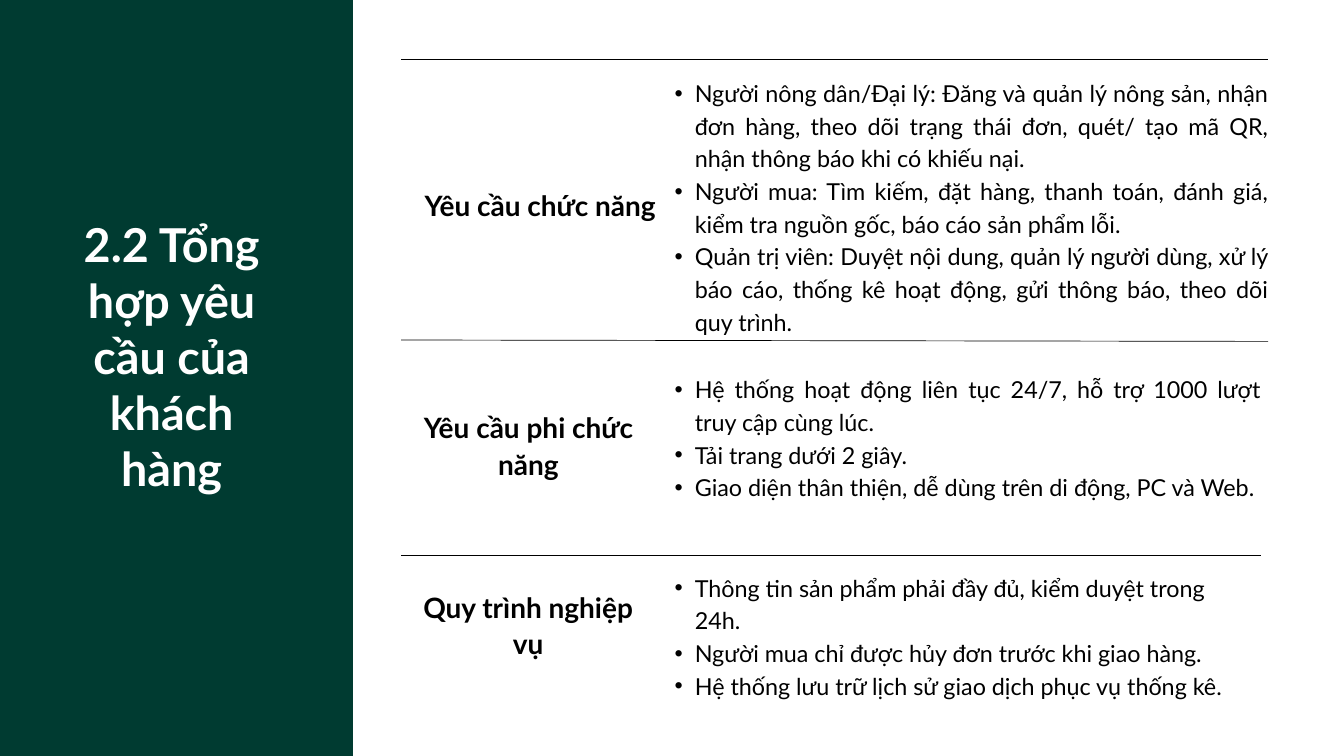
from lxml.etree import SubElement
from pptx import Presentation
from pptx.dml.color import RGBColor
from pptx.enum.shapes import MSO_CONNECTOR, MSO_SHAPE
from pptx.enum.text import MSO_ANCHOR, MSO_AUTO_SIZE, PP_ALIGN
from pptx.oxml.ns import qn
from pptx.util import Pt

FONT = "Lato"
GREEN, WHITE, BLACK = "003B31", "FFFFFF", "000000"
RULE_LEFT, LIST_LEFT = 429.8, 702

# heading, heading place, heading alignment, list items, list place, list alignment
SECTIONS = [
    ("Yêu cầu chức năng", (429.8, 198.7, 272.9, 38.2), PP_ALIGN.RIGHT,
     ["Người nông dân/Đại lý: Đăng và quản lý nông sản, nhận đơn hàng, theo dõi "
      "trạng thái đơn, quét/ tạo mã QR, nhận thông báo khi có khiếu nại.",
      "Người mua: Tìm kiếm, đặt hàng, thanh toán, đánh giá, kiểm tra nguồn gốc, "
      "báo cáo sản phẩm lỗi.",
      "Quản trị viên: Duyệt nội dung, quản lý người dùng, xử lý báo cáo, thống kê "
      "hoạt động, gửi thông báo, theo dõi quy trình."],
     (LIST_LEFT, 79.9, 656.6, 274.3), PP_ALIGN.JUSTIFY),
    ("Yêu cầu phi chức năng", (429.8, 437, 272.9, 77), PP_ALIGN.CENTER,
     ["Hệ thống hoạt động liên tục 24/7, hỗ trợ 1000 lượt truy cập cùng lúc.",
      "Tải trang dưới 2 giây.",
      "Giao diện thân thiện, dễ dùng trên di động, PC và Web."],
     (LIST_LEFT, 397.4, 648.7, 170.6), PP_ALIGN.JUSTIFY),
    ("Quy trình nghiệp vụ", (444.2, 629.3, 243.4, 77), PP_ALIGN.CENTER,
     ["Thông tin sản phẩm phải đầy đủ, kiểm duyệt trong 24h.",
      "Người mua chỉ được hủy đơn trước khi giao hàng.",
      "Hệ thống lưu trữ lịch sử giao dịch phục vụ thống kê."],
     (LIST_LEFT, 609.8, 642.2, 136.1), PP_ALIGN.LEFT),
]

# start height, end height, right end
RULES = [(64.1, 64.1, 1358.6), (364.3, 365.8, 1358.6), (595.4, 595.4, 1350.7)]


def color(value):
    return RGBColor.from_string(value)


def place(box, position):
    box.left, box.top, box.width, box.height = map(Pt, position)


def set_bullet(para, bulleted):
    properties = para._p.get_or_add_pPr()
    properties.set("marL", str(Pt(42.5) if bulleted else 0))
    properties.set("indent", str(Pt(-21.6) if bulleted else 0))
    if bulleted:
        SubElement(properties, qn("a:buFont"), typeface="Arial")
        SubElement(properties, qn("a:buChar"), char="•")
    else:
        SubElement(properties, qn("a:buNone"))


def write(box, position, texts, size, spacing, align, ink=BLACK, bold=False, bulleted=False):
    place(box, position)
    frame = box.text_frame
    frame.word_wrap = True
    frame.auto_size = MSO_AUTO_SIZE.NONE
    frame.vertical_anchor = MSO_ANCHOR.TOP
    frame.margin_left = frame.margin_top = frame.margin_right = frame.margin_bottom = 0
    for number, text in enumerate(texts):
        para = frame.add_paragraph() if number else frame.paragraphs[0]
        set_bullet(para, bulleted)
        para.alignment = align
        para.line_spacing = Pt(spacing)
        para.space_before = para.space_after = Pt(0)
        span = para.add_run()
        span.text = text
        span.font.name = FONT
        span.font.size = Pt(size)
        span.font.bold = bold
        span.font.color.rgb = color(ink)


def add_panel(page, width, height):
    panel = page.shapes.add_shape(MSO_SHAPE.RECTANGLE, 0, 0, width, height)
    panel.shadow.inherit = False
    panel.fill.solid()
    panel.fill.fore_color.rgb = color(GREEN)
    panel.line.fill.background()
    # Keep the panel behind the title placeholder
    page.shapes._spTree.insert(2, panel._element)


def add_rule(page, start, end, right):
    rule = page.shapes.add_connector(
        MSO_CONNECTOR.STRAIGHT, Pt(RULE_LEFT), Pt(start), Pt(right), Pt(end))
    rule.line.color.rgb = color(BLACK)
    rule.line.width = Pt(0.75)
    SubElement(rule._element.spPr, qn("a:effectLst"))


def main():
    deck = Presentation()
    deck.slide_width, deck.slide_height = Pt(1440), Pt(810)
    # The comparison layout holds a title and two heading and list pairs
    page = deck.slides.add_slide(deck.slide_layouts[4])
    bodies = [box for box in page.placeholders if 1 <= box.placeholder_format.idx <= 4]

    # Title panel
    add_panel(page, Pt(378), deck.slide_height)
    write(page.shapes.title, (58.3, 231.1, 251.3, 300.2),
          ["2.2 Tổng hợp yêu cầu của khách hàng"], 50, 60, PP_ALIGN.CENTER, WHITE, bold=True)

    # Headings and lists; the third pair needs text boxes
    bodies += [page.shapes.add_textbox(0, 0, 0, 0) for _ in range(2)]
    pairs = zip(bodies[::2], bodies[1::2], SECTIONS)
    for heading_box, list_box, section in pairs:
        heading, heading_place, heading_align, items, list_place, list_align = section
        write(heading_box, heading_place, [heading], 30, 39, heading_align, bold=True)
        write(list_box, list_place, items, 25, 35, list_align, bulleted=True)

    # Dividing rules
    for start, end, right in RULES:
        add_rule(page, start, end, right)

    deck.save("out.pptx")


if __name__ == "__main__":
    main()
